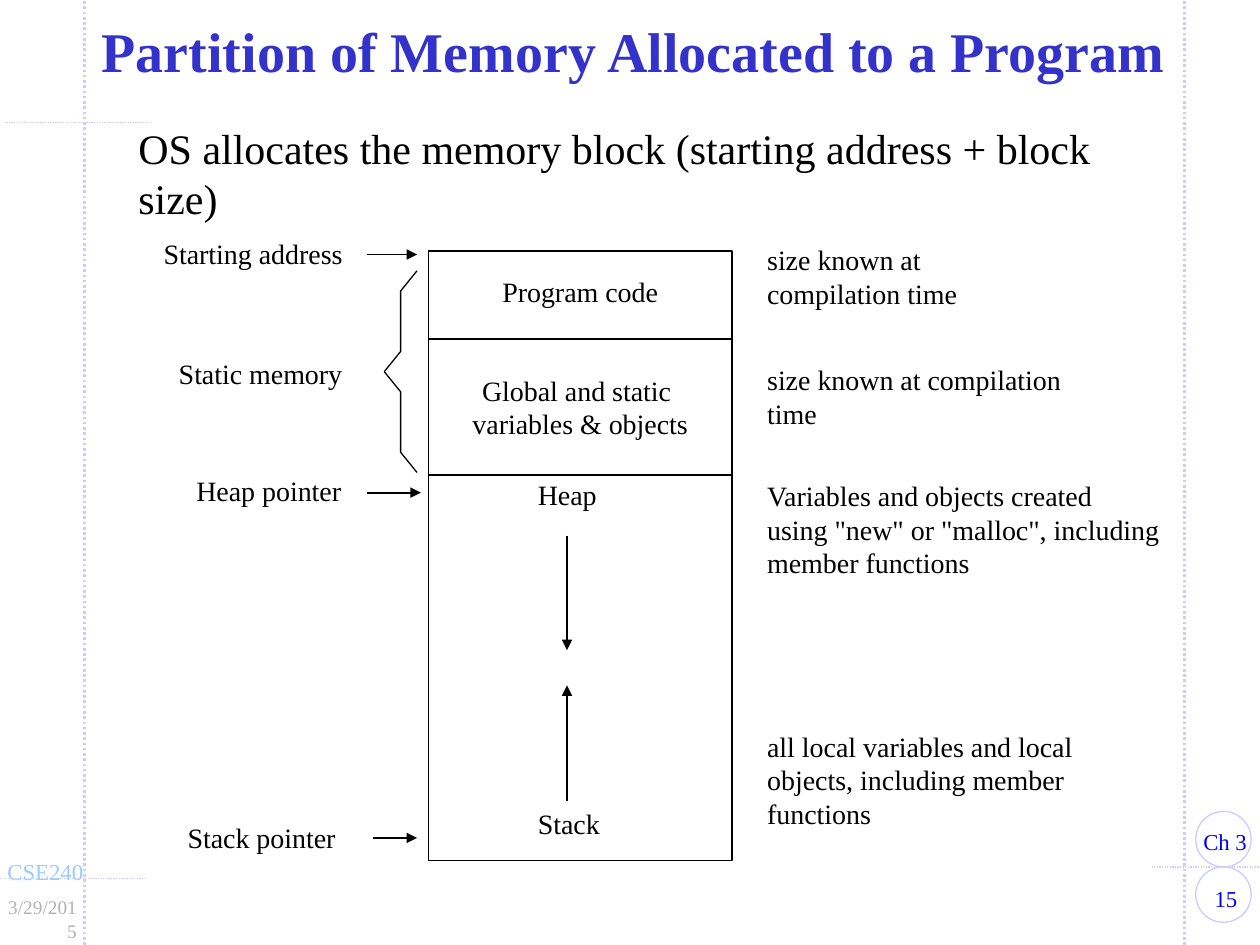
from lxml import etree
from pptx import Presentation
from pptx.dml.color import RGBColor
from pptx.enum.dml import MSO_LINE
from pptx.enum.shapes import MSO_CONNECTOR, MSO_SHAPE
from pptx.enum.text import MSO_ANCHOR, PP_ALIGN
from pptx.oxml.ns import qn
from pptx.util import Inches, Pt

LEFT, MID, RIGHT = PP_ALIGN.LEFT, PP_ALIGN.CENTER, PP_ALIGN.RIGHT
DOT = MSO_LINE.ROUND_DOT
FONT = "Times New Roman"
HUES = {"ink": "000000", "paper": "FFFFFF", "title": "3333CC", "rule": "CCCCFF",
        "page": "0000FF", "course": "99CCFF", "date": "B2B2B2"}
INK = {name: RGBColor.from_string(code) for name, code in HUES.items()}

deck = Presentation()
deck.slide_width, deck.slide_height = Inches(10), Inches(7.5)
slide = deck.slides.add_slide(deck.slide_layouts[6])
shapes = slide.shapes


def write(text, x, y, w, h, size=16, hue="ink", align=LEFT, wrap=True, pad=0.1):
    frame = shapes.add_textbox(Inches(x), Inches(y), Inches(w), Inches(h)).text_frame
    frame.word_wrap = wrap
    frame.margin_left = frame.margin_right = Inches(pad)
    frame.text = text
    para = frame.paragraphs[0]
    para.alignment = align
    para.font.name, para.font.size = FONT, Pt(size)
    para.font.color.rgb = INK[hue]
    return frame


def draw(x1, y1, x2, y2, width, hue="ink", dash=None, arrow=False):
    line = shapes.add_connector(MSO_CONNECTOR.STRAIGHT, Inches(x1), Inches(y1),
                                Inches(x2), Inches(y2))
    line.line.color.rgb, line.line.width = INK[hue], Pt(width)
    if dash:
        line.line.dash_style = dash
    if arrow:
        etree.SubElement(line.line._get_or_add_ln(), qn("a:tailEnd"), type="triangle")
    etree.SubElement(line._element.spPr, qn("a:effectLst"))


# Margin rules
for x in (0.67, 9.4):
    draw(x, 7.5, x, 0, 1.5, "rule", DOT)
for x1, x2, y in ((0, 1.15, 6.97), (9.14, 10.05, 6.88), (0.05, 1.2, 0.97)):
    draw(x1, y, x2, y, 0.75, "rule", DOT)

# Chapter and page circles
for y in (6.88, 6.44):
    ring = shapes.add_shape(MSO_SHAPE.OVAL, Inches(9.49), Inches(y), Inches(0.44), Inches(0.44))
    ring.shadow.inherit = False
    ring.fill.background()
    ring.line.color.rgb, ring.line.width = INK["rule"], Pt(0.75)

# Footer labels, the one-line ones with room to spare
write("15", 9.44, 6.97, 0.58, 0.32, 13, "page", MID, pad=0.11)
write("Ch 3", 9.44, 6.52, 0.64, 0.32, 13, "page", pad=0.11)
write("CSE240", -0.05, 6.76, 0.9, 0.32, 13, "course", pad=0.11)
write("3/29/2015", -0.11, 7.06, 0.83, 0.29, 11, "date", RIGHT, pad=0.11)

# Title and lead sentence
title = write("Partition of Memory Allocated to a Program",
              0.62, 0.09, 8.82, 0.7, 32, "title", MID, pad=0.11)
title.vertical_anchor = MSO_ANCHOR.MIDDLE
title.paragraphs[0].font.bold = True
title.paragraphs[0].line_spacing = 0.85
write("OS allocates the memory block (starting address + block size)",
      1, 0.92, 8.46, 0.5, 24)

# Memory block, stacked from the top down
top = 1.99
for text, high, gap in (("Program code", 0.7, 0.8),
                        ("Global and static \vvariables & objects", 1.08, 1),
                        ("", 3.06, 1)):
    block = shapes.add_shape(MSO_SHAPE.RECTANGLE, Inches(3.4), Inches(top),
                             Inches(2.41), Inches(high))
    block.shadow.inherit = False
    block.fill.solid()
    block.fill.fore_color.rgb = INK["paper"]
    block.line.color.rgb, block.line.width = INK["ink"], Pt(1)
    if text:
        frame = block.text_frame
        frame.text, frame.word_wrap = text, False
        frame.vertical_anchor = MSO_ANCHOR.MIDDLE
        para = frame.paragraphs[0]
        para.alignment, para.line_spacing = MID, gap
        para.font.name, para.font.size = FONT, Pt(16)
        para.font.color.rgb = INK["ink"]
    top += high

# Heap and stack growing towards each other
write("Heap", 4.17, 3.74, 0.67, 0.37, wrap=False)
write("Stack", 4.17, 6.35, 0.7, 0.37, wrap=False)
draw(4.5, 4.25, 4.5, 5.16, 1, arrow=True)
draw(4.5, 6.36, 4.5, 5.44, 1, arrow=True)

# Notes on the right
for text, y, w, h in (
        ("size known at compilation time", 1.88, 2.38, 0.63),
        ("size known at compilation time", 2.83, 2.78, 0.64),
        ('Variables and objects created\vusing "new" or "malloc", including member functions',
         3.75, 3.85, 0.9),
        ("all local variables and local objects, including member functions",
         5.74, 3.05, 0.9)):
    write(text, 5.99, y, w, h)

# Labels and pointers on the left
for text, x, y, w in (("Starting address", 1.2, 1.83, 1.63),
                      ("Static memory", 1.32, 2.78, 1.51),
                      ("Heap pointer", 1.46, 3.71, 1.36),
                      ("Stack pointer", 1.39, 6.46, 1.86)):
    write(text, x, y, w, 0.37, wrap=False)
for x1, x2, y, width in ((2.91, 3.31, 2.02, 0.75), (2.91, 3.34, 3.91, 1),
                         (2.96, 3.31, 6.65, 1)):
    draw(x1, y, x2, y, width, arrow=True)

# Static memory brace, mirrored about its tip
for sign in (-1, 1):
    spots = [(Inches(x), Inches(2.95 + sign * off))
             for x, off in ((3.31, 0.8), (3.18, 0.64), (3.18, 0.16), (3.05, 0))]
    half = shapes.build_freeform(*spots[0])
    half.add_line_segments(spots[1:], close=False)
    brace = half.convert_to_shape()
    brace.shadow.inherit = False
    brace.fill.background()
    brace.line.color.rgb, brace.line.width = INK["ink"], Pt(0.75)

deck.save("out.pptx")
